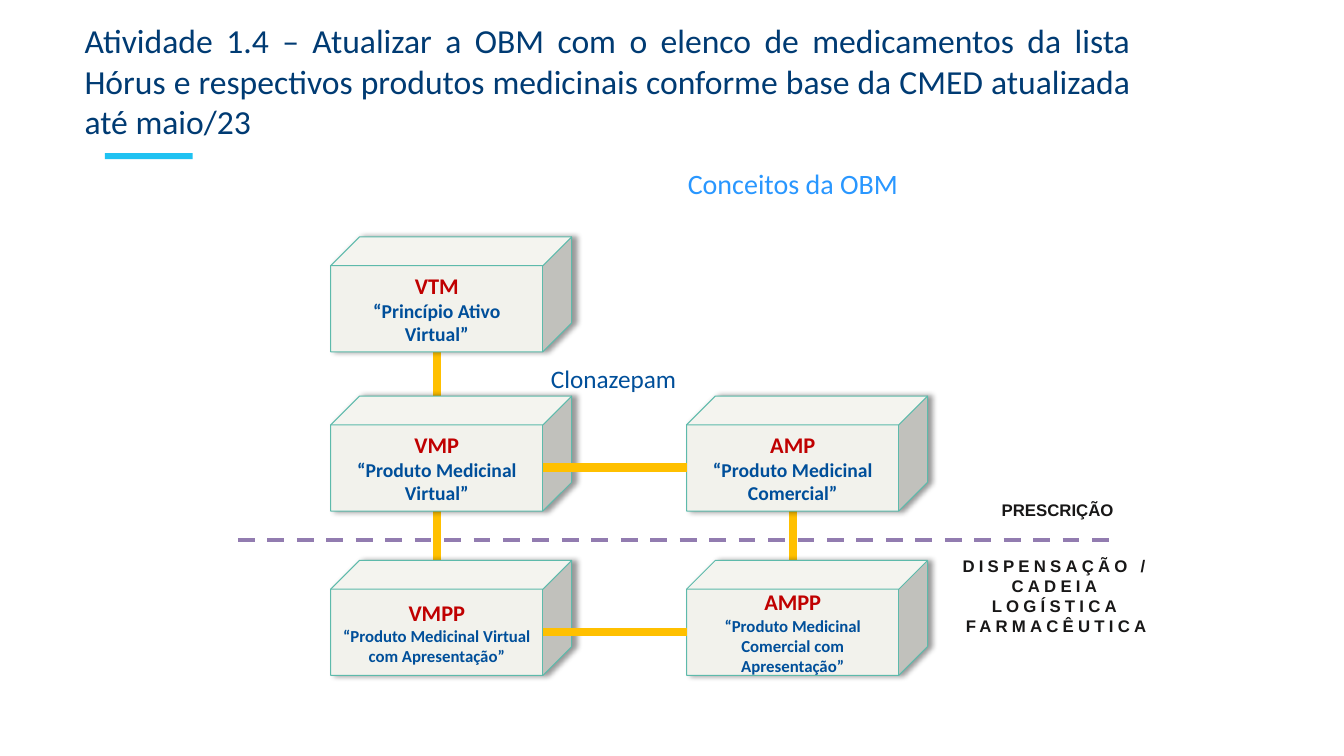
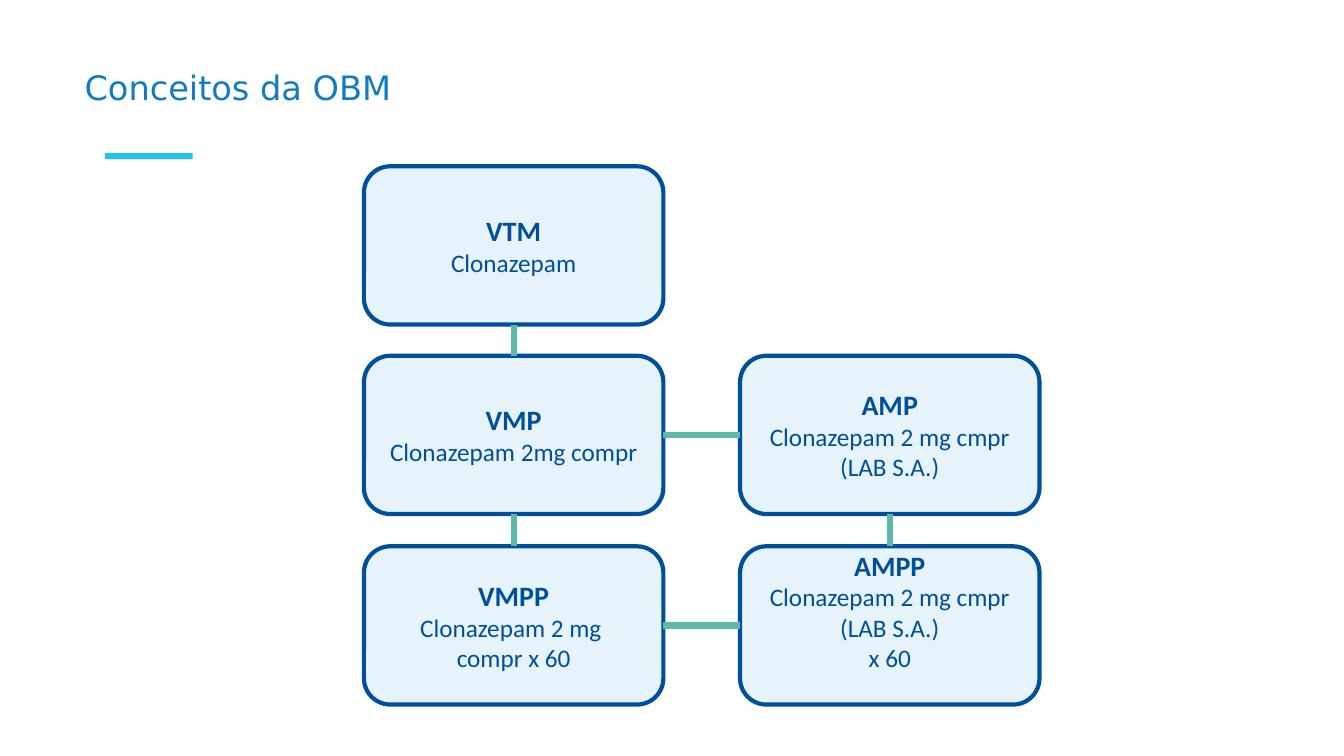
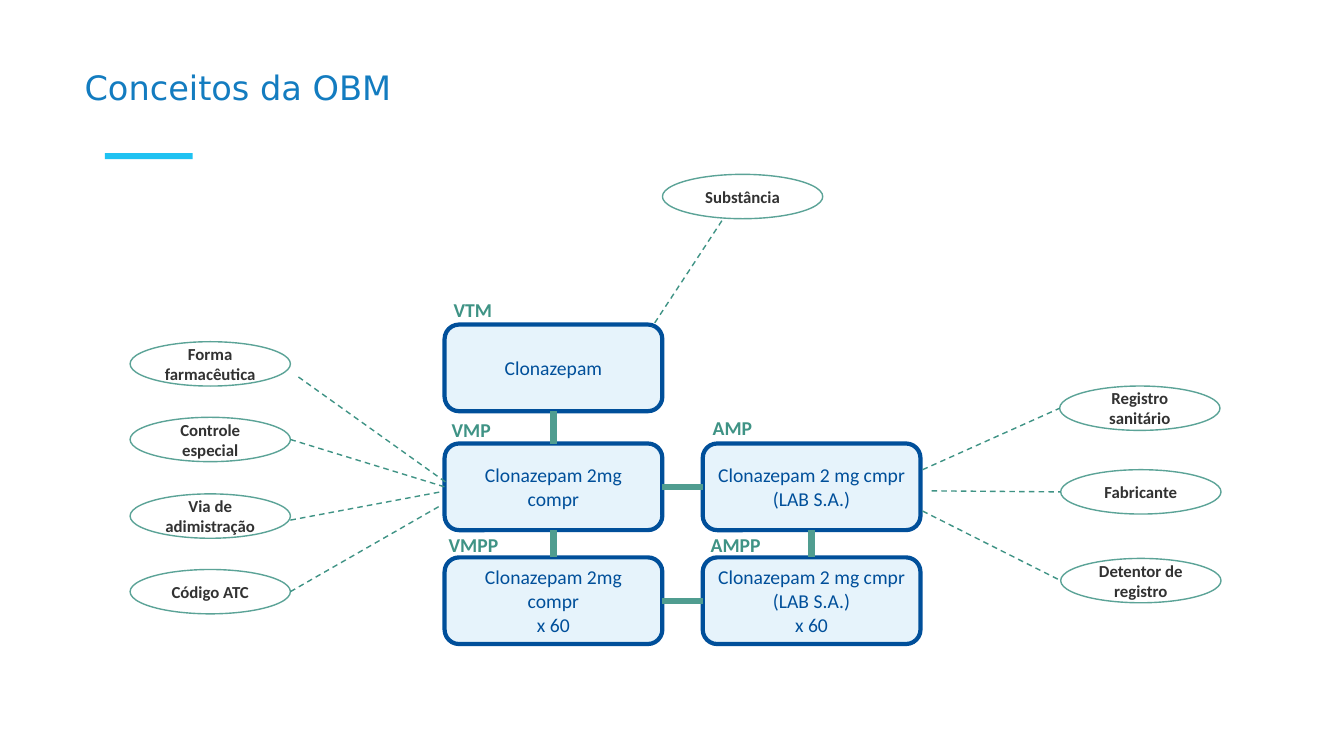
from dataclasses import dataclass

from lxml import etree
from pptx import Presentation
from pptx.dml.color import RGBColor
from pptx.enum.dml import MSO_LINE
from pptx.enum.shapes import MSO_CONNECTOR, MSO_SHAPE
from pptx.enum.text import MSO_ANCHOR, PP_ALIGN
from pptx.oxml.ns import qn
from pptx.util import Inches, Pt

DASH = MSO_LINE.DASH
STRAIGHT = MSO_CONNECTOR.STRAIGHT
RECTANGLE = MSO_SHAPE.RECTANGLE
ROUNDED = MSO_SHAPE.ROUNDED_RECTANGLE
CUBE = MSO_SHAPE.CUBE
OVAL = MSO_SHAPE.OVAL
TOP, MIDDLE = MSO_ANCHOR.TOP, MSO_ANCHOR.MIDDLE
LEFT, CENTER, JUSTIFY = PP_ALIGN.LEFT, PP_ALIGN.CENTER, PP_ALIGN.JUSTIFY

# Shared colours
WHITE, BLACK, INK = "FFFFFF", "000000", "181717"
NAVY, BLUE, SKY = "003B73", "004F9A", "E6F3FB"
TITLE_BLUE, ACCENT, BRIGHT_BLUE = "137CC0", "1FC2F2", "2997FF"
RED, AMBER, PURPLE = "C00000", "FFC000", "927CB0"
STONE, TEAL, DEEP_TEAL = "F2F2EC", "5DBAAB", "509D90"
LABEL_TEAL, OVAL_TEAL, CHARCOAL = "3F9385", "5BA397", "323232"

# Concept links, by name
VERTICAL_LINKS = [("VTM", "VMP"), ("VMP", "VMPP"), ("AMP", "AMPP")]
HORIZONTAL_LINKS = [("VMP", "AMP"), ("VMPP", "AMPP")]
CELLS = {"VTM": (0, 0), "VMP": (0, 1), "VMPP": (0, 2), "AMP": (1, 1), "AMPP": (1, 2)}


@dataclass(frozen=True)
class Style:
    size: float
    color: str
    bold: bool = False
    font: str = "Calibri"
    spacing: float = 0


@dataclass(frozen=True)
class Frame:
    left: float
    top: float
    width: float
    height: float


@dataclass(frozen=True)
class Grid:
    columns: tuple[float, float]
    rows: tuple[float, float, float]
    width: float
    height: float
    link_color: str
    link_weight: float
    depth: float = 0

    def frame(self, name: str) -> Frame:
        column, row = CELLS[name]
        return Frame(self.columns[column], self.rows[row], self.width, self.height)


@dataclass(frozen=True)
class Attribute:
    text: str
    left: float
    top: float
    line: tuple[float, float, float, float]


def rgb(color: str) -> RGBColor:
    return RGBColor.from_string(color)


def write(shape, lines: list[tuple[str, Style]], align=CENTER, anchor=MIDDLE,
          wrap: bool = True, leading: float | None = None) -> None:
    text_frame = shape.text_frame
    text_frame.word_wrap = wrap
    text_frame.vertical_anchor = anchor
    text_frame.text = "\n".join(text for text, _ in lines)
    for para, (_, style) in zip(text_frame.paragraphs, lines):
        para.alignment = align
        if leading:
            para.line_spacing = leading
        for span in para.runs:
            span.font.name = style.font
            span.font.size = Pt(style.size)
            span.font.bold = style.bold
            span.font.color.rgb = rgb(style.color)
            if style.spacing:
                span._r.get_or_add_rPr().set("spc", str(int(style.spacing * 100)))


def add_box(page, kind, frame: Frame, fill: str, line: str | None = None, weight: float = 1):
    box = page.shapes.add_shape(kind, Inches(frame.left), Inches(frame.top),
                                Inches(frame.width), Inches(frame.height))
    box.shadow.inherit = False
    box.fill.solid()
    box.fill.fore_color.rgb = rgb(fill)
    if line:
        box.line.color.rgb = rgb(line)
        box.line.width = Pt(weight)
    else:
        box.line.fill.background()
    return box


def add_text(page, frame: Frame, text: str, style: Style, align=CENTER, anchor=TOP,
             wrap: bool = True, leading: float | None = None) -> None:
    box = page.shapes.add_textbox(Inches(frame.left), Inches(frame.top),
                                  Inches(frame.width), Inches(frame.height))
    write(box, [(text, style)], align, anchor, wrap, leading)


def add_line(page, ends: tuple[float, float, float, float], color: str, weight: float,
             dash=None) -> None:
    line = page.shapes.add_connector(STRAIGHT, *(Inches(value) for value in ends))
    line.line.color.rgb = rgb(color)
    line.line.width = Pt(weight)
    if dash:
        line.line.dash_style = dash
    etree.SubElement(line._element.spPr, qn("a:effectLst"))


def cast_shadow(box) -> None:
    effects = box._element.spPr.find(qn("a:effectLst"))
    shadow = etree.SubElement(effects, qn("a:outerShdw"), blurRad=str(Pt(4)),
                              dist=str(Pt(3)), dir="0", algn="l", rotWithShape="0")
    color = etree.SubElement(shadow, qn("a:srgbClr"), val=BLACK)
    etree.SubElement(color, qn("a:alpha"), val="40000")


def link_down(page, grid: Grid) -> None:
    for upper, lower in VERTICAL_LINKS:
        start, end = grid.frame(upper), grid.frame(lower)
        x = start.left + (grid.width - grid.depth) / 2
        add_line(page, (x, start.top + grid.height, x, end.top + grid.depth),
                 grid.link_color, grid.link_weight)


def link_across(page, grid: Grid) -> None:
    for first, second in HORIZONTAL_LINKS:
        start, end = grid.frame(first), grid.frame(second)
        y = start.top + (grid.height + grid.depth) / 2
        add_line(page, (start.left + grid.width - grid.depth, y, end.left, y),
                 grid.link_color, grid.link_weight)


def new_page(deck):
    page = deck.slides.add_slide(deck.slide_layouts[6])
    add_box(page, RECTANGLE, Frame(1.04, 1.52, 0.87, 0.06), ACCENT)
    return page


def add_title(page) -> None:
    add_text(page, Frame(0.74, 0.16, 10.57, 1.45), "Conceitos da OBM",
             Style(24, TITLE_BLUE, font="DejaVu Sans"), JUSTIFY, MIDDLE, leading=0.9)


def build_concepts(deck) -> None:
    page = new_page(deck)
    grid = Grid((3.28, 6.81), (2.35, 3.93, 5.56), 2.39, 1.14, AMBER, 6, depth=0.28)
    concepts = [
        ("VTM", "“Princípio Ativo Virtual”", 14),
        ("VMP", "“Produto Medicinal Virtual”", 14),
        ("VMPP", "“Produto Medicinal Virtual com Apresentação”", 12),
        ("AMP", "“Produto Medicinal Comercial”", 14),
        ("AMPP", "“Produto Medicinal Comercial com Apresentação”", 12),
    ]
    # Cubes cover the ends of the vertical links
    link_down(page, grid)
    for name, meaning, size in concepts:
        cube = add_box(page, CUBE, grid.frame(name), STONE, TEAL, 0.75)
        cast_shadow(cube)
        write(cube, [(name, Style(16, RED, True)), (meaning, Style(size, BLUE, True))])
    add_line(page, (2.36, 5.36, 11.03, 5.36), PURPLE, 3, DASH)
    link_across(page, grid)

    # Zones on either side of the dashed line
    add_text(page, Frame(9.7, 4.91, 1.58, 0.3), "PRESCRIÇÃO", Style(12, INK, True, "Arial"))
    add_text(page, Frame(9.35, 5.46, 2.25, 0.91), "DISPENSAÇÃO / CADEIA LOGÍSTICA FARMACÊUTICA",
             Style(12, INK, True, "Arial", 3))

    # Headings
    heading = add_box(page, RECTANGLE, Frame(0.74, 0.15, 10.57, 1.31), WHITE)
    write(heading, [("Atividade 1.4 – Atualizar a OBM com o elenco de medicamentos da lista "
                     "Hórus e respectivos produtos medicinais conforme base da CMED "
                     "atualizada até maio/23", Style(24, NAVY))], JUSTIFY, TOP)
    add_text(page, Frame(4.53, 1.6, 6.67, 0.44), "Conceitos da OBM", Style(20, BRIGHT_BLUE))
    add_text(page, Frame(3.33, 3.55, 5.51, 0.41), "Clonazepam", Style(18, BLUE))


def build_example(deck) -> None:
    page = new_page(deck)
    add_title(page)
    grid = Grid((3.61, 7.34), (1.65, 3.53, 5.42), 2.97, 1.57, TEAL, 4.5)
    examples = {
        "VTM": ["Clonazepam"],
        "VMP": ["Clonazepam 2mg compr"],
        "VMPP": ["Clonazepam 2 mg \vcompr x 60"],
        "AMP": ["Clonazepam 2 mg cmpr (LAB S.A.)"],
        "AMPP": ["Clonazepam 2 mg cmpr (LAB S.A.)", "x 60"],
    }
    for name, lines in examples.items():
        box = add_box(page, ROUNDED, grid.frame(name), SKY, BLUE, 3)
        write(box, [(name, Style(20, BLUE, True))] + [(text, Style(18, BLUE)) for text in lines])
        if name == "AMPP":
            box.text_frame.margin_bottom = Inches(0.35)
    link_down(page, grid)
    link_across(page, grid)


def build_attributes(deck) -> None:
    page = new_page(deck)
    add_title(page)
    grid = Grid((4.41, 6.97), (3.22, 4.4, 5.53), 2.16, 0.86, DEEP_TEAL, 4.5)
    examples = {
        "VTM": ["Clonazepam"],
        "VMP": ["Clonazepam 2mg compr"],
        "VMPP": ["Clonazepam 2mg compr", "x 60"],
        "AMP": ["Clonazepam 2 mg cmpr (LAB S.A.)"],
        "AMPP": ["Clonazepam 2 mg cmpr (LAB S.A.)", "x 60"],
    }
    for name, lines in examples.items():
        box = add_box(page, ROUNDED, grid.frame(name), SKY, BLUE, 3)
        write(box, [(text, Style(14, BLUE)) for text in lines])
    link_down(page, grid)
    link_across(page, grid)

    # Concept names above the boxes
    labels = [("VTM", 4.4, 2.91), ("VMP", 4.38, 4.1), ("VMPP", 4.35, 5.24),
              ("AMP", 6.97, 4.08), ("AMPP", 6.95, 5.24)]
    for name, left, top in labels:
        add_text(page, Frame(left, top, 0.75, 0.37), name, Style(14, LABEL_TEAL, True),
                 LEFT, wrap=False)

    # Attributes and their dashed lines
    attributes = [
        Attribute("Substância", 6.57, 1.73, (7.16, 2.19, 6.47, 3.24)),
        Attribute("Forma farmacêutica", 1.29, 3.39, (2.96, 3.74, 4.43, 4.79)),
        Attribute("Controle especial", 1.29, 4.14, (2.88, 4.36, 4.41, 4.83)),
        Attribute("Via de adimistração", 1.29, 4.9, (2.88, 5.16, 4.37, 4.88)),
        Attribute("Código ATC", 1.29, 5.65, (2.88, 5.87, 4.38, 5.01)),
        Attribute("Registro sanitário", 10.51, 3.83, (9.15, 4.66, 10.51, 4.05)),
        Attribute("Fabricante", 10.52, 4.66, (9.24, 4.87, 10.52, 4.88)),
        Attribute("Detentor de registro", 10.52, 5.54, (9.15, 5.07, 10.52, 5.76)),
    ]
    for item in attributes:
        oval = add_box(page, OVAL, Frame(item.left, item.top, 1.59, 0.44), WHITE, OVAL_TEAL)
        write(oval, [(item.text, Style(12, CHARCOAL, True))])
        add_line(page, item.line, LABEL_TEAL, 1, DASH)


def main() -> None:
    deck = Presentation()
    deck.slide_width, deck.slide_height = Inches(13.33), Inches(7.5)
    build_concepts(deck)
    build_example(deck)
    build_attributes(deck)
    deck.save("out.pptx")


if __name__ == "__main__":
    main()
